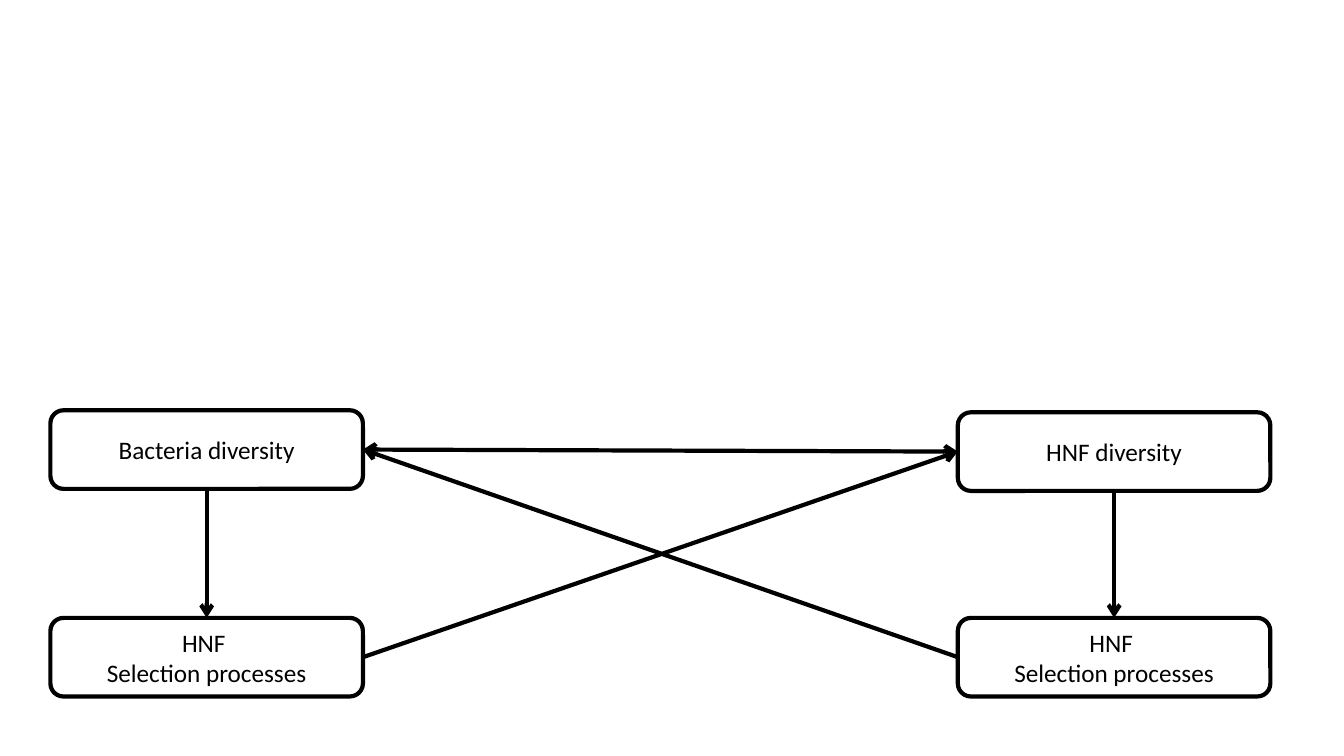
from lxml.etree import SubElement
from pptx import Presentation
from pptx.dml.color import RGBColor
from pptx.enum.shapes import MSO_CONNECTOR as Connector, MSO_SHAPE as Shape
from pptx.enum.text import MSO_ANCHOR as Anchor, PP_ALIGN as Align
from pptx.oxml.ns import qn
from pptx.util import Inches, Pt

BLACK = RGBColor(0, 0, 0)
BOX_WIDTH, BOX_HEIGHT = 3.1, 0.78
BACTERIA_LEFT, HNF_LEFT = 0.5, 9.5
SELECTION_TOP = 6.13
TOP, LEFT, BOTTOM, RIGHT = range(4)  # connection sites of a rounded box


def apply_format(target, values):
    """Set each attribute named in values on target."""
    for name, value in values.items():
        setattr(target, name, value)


class Diagram:
    """Hold the style and the current slide."""

    font = {"name": "Calibri", "size": Pt(18)}
    frame = {"word_wrap": True, "vertical_anchor": Anchor.MIDDLE}

    def __init__(self, slide):
        """Draw on the given slide."""
        self.slide = slide

    def outline(self, line):
        """Give a line the common colour and width."""
        line.color.rgb = BLACK
        line.width = Pt(3)

    def box(self, left, top, *lines):
        """Add a rounded box with one centred paragraph per line."""
        box = self.slide.shapes.add_shape(
            Shape.ROUNDED_RECTANGLE, Inches(left), Inches(top),
            Inches(BOX_WIDTH), Inches(BOX_HEIGHT))
        box.shadow.inherit = False
        box.fill.background()
        self.outline(box.line)
        text = box.text_frame
        text.text = "\n".join(lines)
        apply_format(text, self.frame)
        for paragraph in text.paragraphs:
            paragraph.alignment = Align.CENTER
            apply_format(paragraph.font, self.font)
            paragraph.font.color.rgb = BLACK
        return box

    def arrow(self, source, source_site, target, target_site, ends=("tailEnd",)):
        """Connect two boxes with an arrow glued to their sites."""
        arrow = self.slide.shapes.add_connector(Connector.STRAIGHT, 0, 0, 0, 0)
        arrow.begin_connect(source, source_site)
        arrow.end_connect(target, target_site)
        self.outline(arrow.line)
        for end in ends:
            SubElement(arrow.line._get_or_add_ln(), qn(f"a:{end}"), type="arrow")
        SubElement(arrow._element.spPr, qn("a:effectLst"))


presentation = Presentation()
apply_format(presentation, {"slide_width": Inches(13.33), "slide_height": Inches(7.5)})
diagram = Diagram(presentation.slides.add_slide(presentation.slide_layouts[6]))

bacteria = diagram.box(BACTERIA_LEFT, 4.07, "Bacteria diversity")
hnf = diagram.box(HNF_LEFT, 4.09, "HNF diversity")
bacteria_selection, hnf_selection = [
    diagram.box(left, SELECTION_TOP, "HNF ", "Selection processes")
    for left in (BACTERIA_LEFT, HNF_LEFT)]

diagram.arrow(bacteria, RIGHT, hnf, LEFT, ends=("headEnd", "tailEnd"))
diagram.arrow(bacteria, BOTTOM, bacteria_selection, TOP)
diagram.arrow(hnf, BOTTOM, hnf_selection, TOP)
diagram.arrow(bacteria_selection, RIGHT, hnf, LEFT)
diagram.arrow(hnf_selection, LEFT, bacteria, RIGHT)

presentation.save("out.pptx")
